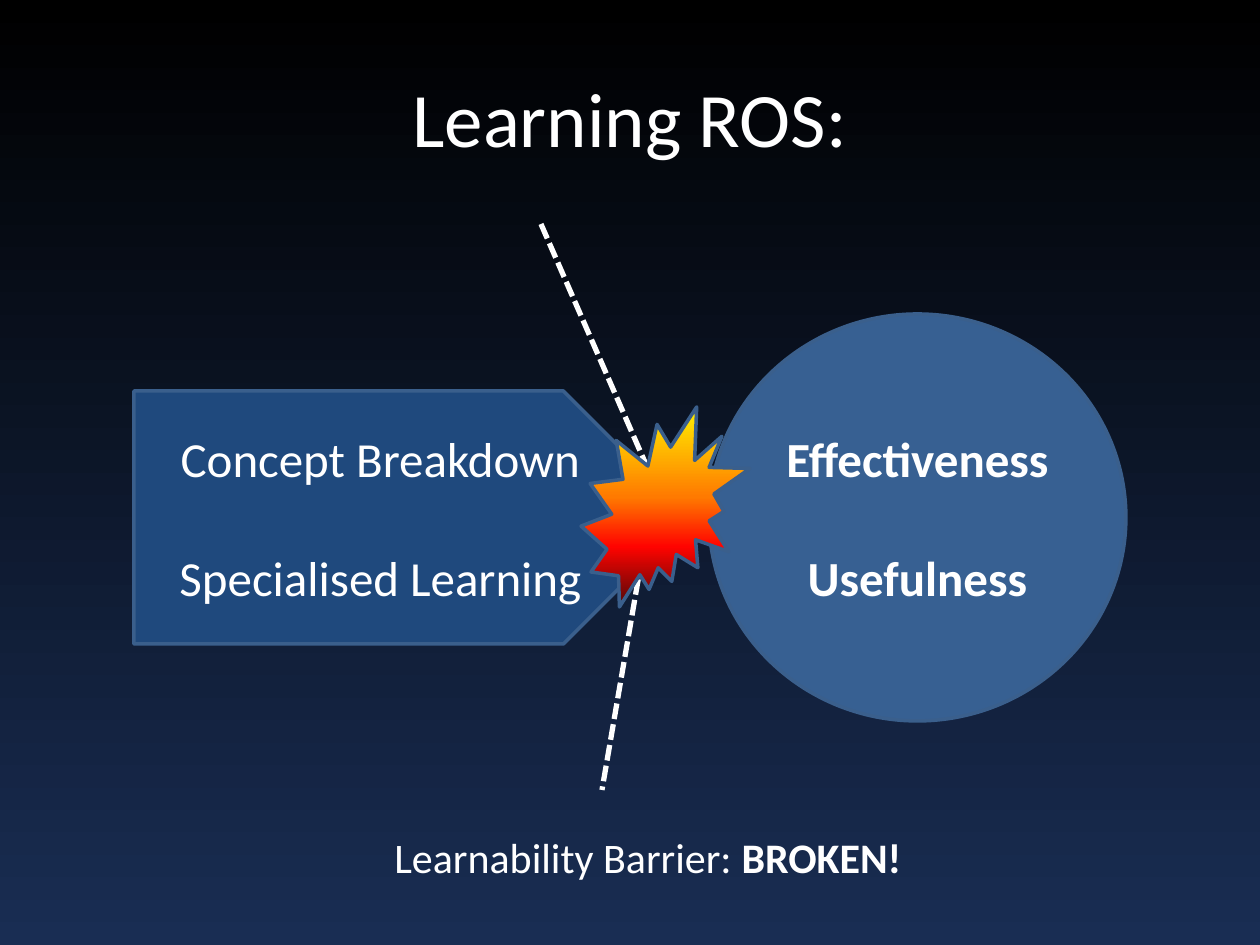
from copy import deepcopy
from pptx import Presentation
from pptx.dml.color import RGBColor
from pptx.enum.dml import MSO_LINE as DASH
from pptx.enum.shapes import MSO_CONNECTOR as CONN, MSO_SHAPE as SHAPE
from pptx.enum.text import MSO_ANCHOR as ANCHOR, PP_ALIGN as ALIGN
from pptx.oxml.ns import qn
from pptx.util import Pt

PX = 914400 // 126
WHITE = RGBColor(0xFF, 0xFF, 0xFF)
BLACK = RGBColor(0x00, 0x00, 0x00)
NIGHT = RGBColor(0x19, 0x2D, 0x53)
NAVY = RGBColor(0x1F, 0x49, 0x7D)
STEEL = RGBColor(0x37, 0x60, 0x92)
EDGE = RGBColor(0x3A, 0x5F, 0x8C)
YELLOW = RGBColor(0xFF, 0xF2, 0x00)
ORANGE = RGBColor(0xFF, 0x7A, 0x00)
RED = RGBColor(0xFF, 0x03, 0x00)
MAROON = RGBColor(0x4D, 0x08, 0x08)


def set_gradient(fill, element, stops):
    """Fill from top to bottom with (position, colour) stops."""
    fill.gradient()
    fill.gradient_angle = 270
    gs_list = element.xpath(".//a:gsLst")[0]
    for _ in stops[2:]:
        gs_list.append(deepcopy(gs_list[0]))
    for stop, (position, color) in zip(fill.gradient_stops, stops):
        stop.position = position
        stop.color.rgb = color


def write(tf, paragraphs, size, align, anchor, gap=0):
    """Write paragraphs, each a list of (text, bold) runs."""
    tf.word_wrap = True
    tf.vertical_anchor = anchor
    for i, runs in enumerate(paragraphs):
        p = tf.add_paragraph() if i else tf.paragraphs[0]
        p.alignment = align
        p.space_before = Pt(gap if i else 0)
        for text, bold in runs:
            r = p.add_run()
            r.text = text
            for key, value in dict(name="Calibri", size=Pt(size), bold=bold).items():
                setattr(r.font, key, value)
            r.font.color.rgb = WHITE


prs = Presentation()
prs.slide_width, prs.slide_height = 1260 * PX, 945 * PX
s = prs.slides.add_slide(prs.slide_layouts[6])
set_gradient(s.background.fill, s.element, [(0, BLACK), (1, NIGHT)])

# Barrier halves, title, shapes and caption, from back to front
barriers = {"lower": (649, 517, 602, 790), "upper": (541, 224, 665, 508)}
texts = {
    "title": ((63, 38, 1134, 157), [[("Learning ROS:", False)]],
              44, ALIGN.CENTER, ANCHOR.MIDDLE),
    "caption": ((382, 825, 556, 63),
                [[("Learnability Barrier: ", False), ("BROKEN!", True)]],
                24, ALIGN.LEFT, ANCHOR.TOP),
}
shapes = {
    "goal": (SHAPE.OVAL, (709, 314, 417, 407), STEEL,
             ["Effectiveness", "Usefulness"], True),
    "method": (SHAPE.PENTAGON, (134, 391, 556, 253), NAVY,
               ["Concept Breakdown", "Specialised Learning"], False),
    "burst": (SHAPE.EXPLOSION2, (581, 407, 169, 200),
              [(0, YELLOW), (0.45, ORANGE), (0.7, RED), (1, MAROON)], [], False),
}

for name in ("lower", "title", "goal", "upper", "caption", "method", "burst"):
    if name in barriers:
        c = s.shapes.add_connector(CONN.STRAIGHT, *(v * PX for v in barriers[name]))
        c.line.color.rgb = WHITE
        c.line.width = Pt(3)
        c.line.dash_style = DASH.SQUARE_DOT
        sp_pr = c.element.spPr
        sp_pr.append(sp_pr.makeelement(qn("a:effectLst"), {}))
    elif name in texts:
        box, *content = texts[name]
        sp = s.shapes.add_textbox(*(v * PX for v in box))
        write(sp.text_frame, *content)
    else:
        kind, box, fill, words, bold = shapes[name]
        sp = s.shapes.add_shape(kind, *(v * PX for v in box))
        sp.shadow.inherit = False
        if isinstance(fill, list):
            set_gradient(sp.fill, sp.element, fill)
        else:
            sp.fill.solid()
            sp.fill.fore_color.rgb = fill
        sp.line.color.rgb = EDGE
        sp.line.width = Pt(2)
        write(sp.text_frame, [[(word, bold)] for word in words],
              28, ALIGN.CENTER, ANCHOR.MIDDLE, gap=34)

prs.save("out.pptx")
